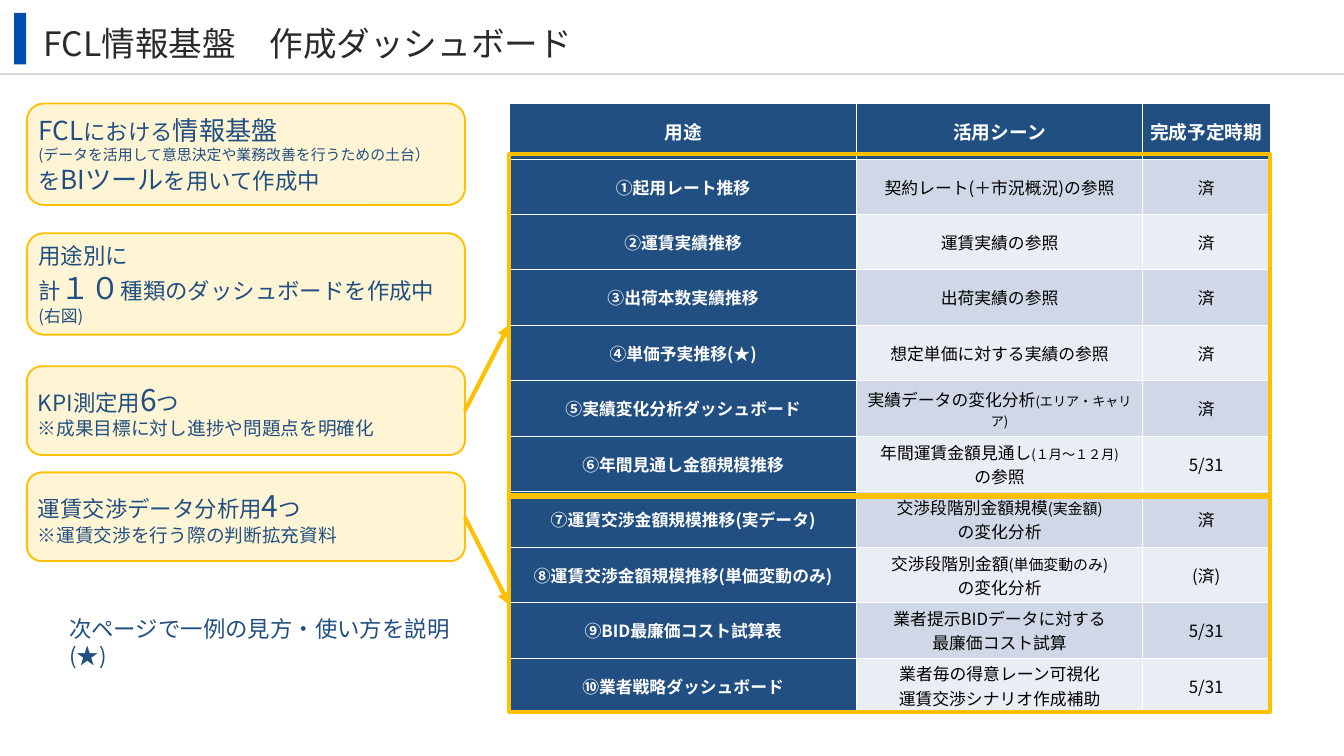
"""Build the slide listing the dashboards of the FCL information platform."""
import pptx
import pptx.dml.color
import pptx.enum.shapes
import pptx.enum.text
import pptx.oxml.ns
import pptx.util
from lxml import etree

Inches = pptx.util.Inches
Pt = pptx.util.Pt
RGBColor = pptx.dml.color.RGBColor
Shape = pptx.enum.shapes.MSO_SHAPE
Align = pptx.enum.text.PP_ALIGN
Anchor = pptx.enum.text.MSO_ANCHOR
qn = pptx.oxml.ns.qn

FONT = "Noto Sans CJK JP"
ACCENT = RGBColor(0x00, 0x4E, 0xAE)
NAVY = RGBColor(0x21, 0x4F, 0x81)
GOLD = RGBColor(0xFF, 0xC0, 0x00)
CREAM = RGBColor(0xFF, 0xF5, 0xD5)
GREY = RGBColor(0xD9, 0xD9, 0xD9)
INK = RGBColor(0x29, 0x2B, 0x2B)
WHITE = RGBColor(0xFF, 0xFF, 0xFF)
BLACK = RGBColor(0x00, 0x00, 0x00)
BANDS = (RGBColor(0xD0, 0xD8, 0xE8), RGBColor(0xE9, 0xED, 0xF4))

TITLE = "FCL情報基盤\u3000作成ダッシュボード".replace("\u3000", "　")
NOTE = "次ページで一例の見方・使い方を説明(★)"

CALLOUTS = [
    (1.54, 1.51, [
        [("FCL", 28), ("における", 24), ("情報基盤", 28)],
        [("(データを活用して意思決定や業務改善を行うための土台）", 16)],
        [("を", 24), ("BIツール", 28), ("を用いて作成中", 24)],
    ]),
    (3.47, 1.51, [
        [("用途別に", 24)],
        [("計", 24), ("１０", 32), ("種類のダッシュボードを作成中", 24), ("(右図)", 18)],
    ]),
    (5.45, 1.32, [
        [("KPI測定用", 24), ("6", 32), ("つ", 24)],
        [("※成果目標に対し進捗や問題点を明確化", 20)],
    ]),
    (7.03, 1.32, [
        [("運賃交渉データ分析用", 24), ("4", 32), ("つ", 24)],
        [("※運賃交渉を行う際の判断拡充資料", 20)],
    ]),
]

HEADERS = ["用途", "活用シーン", "完成予定時期"]
DASHBOARDS = [
    ("①起用レート推移", [[("契約レート(＋市況概況)の参照", 18)]], "済"),
    ("②運賃実績推移", [[("運賃実績の参照", 18)]], "済"),
    ("③出荷本数実績推移", [[("出荷実績の参照", 18)]], "済"),
    ("④単価予実推移(★)", [[("想定単価に対する実績の参照", 18)]], "済"),
    ("⑤実績変化分析ダッシュボード",
     [[("実績データの変化分析", 18), ("(エリア・キャリア)", 14)]], "済"),
    ("⑥年間見通し金額規模推移",
     [[("年間運賃金額見通し", 18), ("(１月～１２月)", 14)], [("の参照", 18)]], "5/31"),
    ("⑦運賃交渉金額規模推移(実データ)",
     [[("交渉段階別金額規模", 18), ("(実金額)", 16)], [("の変化分析", 18)]], "済"),
    ("⑧運賃交渉金額規模推移(単価変動のみ)",
     [[("交渉段階別金額", 18), ("(単価変動のみ)", 16)], [("の変化分析", 18)]], "(済)"),
    ("⑨BID最廉価コスト試算表",
     [[("業者提示BIDデータに対する", 18)], [("最廉価コスト試算", 18)]], "5/31"),
    ("⑩業者戦略ダッシュボード",
     [[("業者毎の得意レーン可視化", 18)], [("運賃交渉シナリオ作成補助", 18)]], "5/31"),
]

CALLOUT_LEFT, CALLOUT_WIDTH = 0.4, 6.52
TABLE_LEFT, TABLE_TOP, TABLE_HEIGHT = 7.58, 1.54, 9.08
COLUMN_WIDTHS = (5.17, 4.25, 1.9)
TABLE_WIDTH = sum(COLUMN_WIDTHS)
GROUP_FRAMES = [(2.29, 5.08), (7.4, 3.19)]
ARROWS = [(6.11, 4.83), (7.7, 9)]


def write(frame, paragraphs, color, bold=False, align=Align.LEFT):
    """Fill a text frame with paragraphs made of (text, size) spans."""
    frame.word_wrap = True
    for index, spans in enumerate(paragraphs):
        para = frame.paragraphs[0] if index == 0 else frame.add_paragraph()
        para.alignment = align
        for text, size in spans:
            span = para.add_run()
            span.text = text
            formats = {"size": Pt(size), "bold": bold, "name": FONT}
            for name, value in formats.items():
                setattr(span.font, name, value)
            span.font.color.rgb = color
            etree.SubElement(span.font._element, qn("a:ea"), typeface=FONT)


def add_box(page, kind, place, fill=None, line=None, width=0):
    """Add a flat preset shape at (left, top, width, height) in inches."""
    box = page.shapes.add_shape(kind, *map(Inches, place))
    box.shadow.inherit = False
    if fill is None:
        box.fill.background()
    else:
        box.fill.solid()
        box.fill.fore_color.rgb = fill
    if line is None:
        box.line.fill.background()
    else:
        box.line.color.rgb = line
        box.line.width = Pt(width)
    return box


def add_line(page, start, end, color, width, arrow=False):
    """Add a straight connector, with an arrowhead at its end if asked."""
    line = page.shapes.add_connector(
        pptx.enum.shapes.MSO_CONNECTOR.STRAIGHT, *map(Inches, start + end))
    line.line.color.rgb = color
    line.line.width = Pt(width)
    if arrow:
        etree.SubElement(line.line._get_or_add_ln(), qn("a:tailEnd"), type="triangle")
    etree.SubElement(line._element.spPr, qn("a:effectLst"))


def add_text(page, place, text, size, color):
    """Add a text box that grows with its text."""
    box = page.shapes.add_textbox(*map(Inches, place))
    write(box.text_frame, [[(text, size)]], color)
    box.text_frame.auto_size = pptx.enum.text.MSO_AUTO_SIZE.SHAPE_TO_FIT_TEXT
    return box


def add_dashboard_table(page):
    """Add the table of dashboards with banded rows."""
    count = len(DASHBOARDS) + 1
    place = (TABLE_LEFT, TABLE_TOP, TABLE_WIDTH, TABLE_HEIGHT)
    table = page.shapes.add_table(count, len(HEADERS), *map(Inches, place)).table
    for column, width in zip(table.columns, COLUMN_WIDTHS):
        column.width = Inches(width)
    for row in table.rows:
        row.height = Inches(TABLE_HEIGHT / count)
    rows = [[[[(text, 20)]] for text in HEADERS]]
    rows += [[[[(use, 18)]], scene, [[(due, 18)]]] for use, scene, due in DASHBOARDS]
    for r, contents in enumerate(rows):
        for c, paragraphs in enumerate(contents):
            heading = r == 0 or c == 0
            cell = table.cell(r, c)
            cell.vertical_anchor = Anchor.MIDDLE
            cell.fill.solid()
            cell.fill.fore_color.rgb = NAVY if heading else BANDS[(r - 1) % 2]
            write(cell.text_frame, paragraphs, WHITE if heading else BLACK,
                  heading, Align.CENTER)


def main():
    """Assemble the slide and save it."""
    deck = pptx.Presentation()
    deck.slide_width, deck.slide_height = Inches(20), Inches(11.25)
    page = deck.slides.add_slide(deck.slide_layouts[6])

    add_box(page, Shape.RECTANGLE, (0.21, 0.19, 0.18, 0.77), ACCENT)
    add_line(page, (0, 1.1), (20, 1.1), GREY, 3)
    title = add_text(page, (0.65, 0.19, 18.23, 0.7), TITLE, 36, INK).text_frame
    for side in ("left", "top", "right", "bottom"):
        setattr(title, f"margin_{side}", 0)
    title.paragraphs[0].line_spacing = Pt(54)

    add_dashboard_table(page)
    for top, height in GROUP_FRAMES:
        add_box(page, Shape.RECTANGLE, (TABLE_LEFT, top, TABLE_WIDTH, height),
                line=GOLD, width=4.5)
    for top, height, paragraphs in CALLOUTS:
        box = add_box(page, Shape.ROUNDED_RECTANGLE,
                      (CALLOUT_LEFT, top, CALLOUT_WIDTH, height), CREAM, GOLD, 2)
        box.text_frame.vertical_anchor = Anchor.MIDDLE
        write(box.text_frame, paragraphs, NAVY)
    for start, end in ARROWS:
        add_line(page, (CALLOUT_LEFT + CALLOUT_WIDTH, start), (TABLE_LEFT, end),
                 GOLD, 4.5, arrow=True)
    add_text(page, (0.93, 9.1, 6.32, 0.5), NOTE, 24, NAVY)
    deck.save("out.pptx")


if __name__ == "__main__":
    main()
